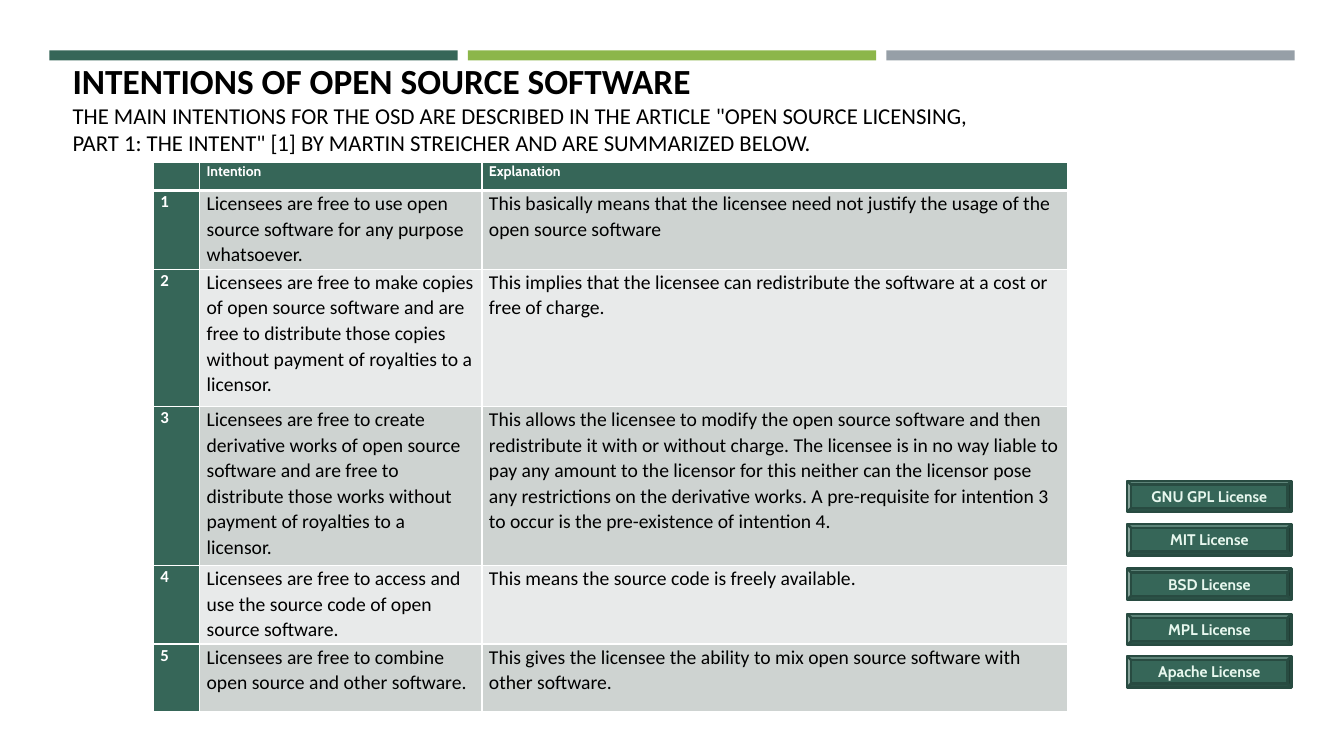
import pptx
import pptx.util
import pptx.dml.color
import pptx.enum.shapes
import pptx.enum.text
import pptx.oxml
import pptx.oxml.ns

Inches = pptx.util.Inches
Pt = pptx.util.Pt
RGBColor = pptx.dml.color.RGBColor
Shapes = pptx.enum.shapes.MSO_SHAPE
Align = pptx.enum.text.PP_ALIGN
Anchor = pptx.enum.text.MSO_ANCHOR

PINE = RGBColor(0x36, 0x66, 0x58)
DARK_PINE = RGBColor(0x28, 0x4B, 0x41)
LIME = RGBColor(0x8C, 0xB6, 0x4A)
SLATE = RGBColor(0x96, 0x9F, 0xA7)
MINT = RGBColor(0xE7, 0xF7, 0xEE)
BAND_DARK = RGBColor(0xCE, 0xD3, 0xD1)
BAND_LIGHT = RGBColor(0xE8, 0xEA, 0xEA)
WHITE = RGBColor(0xFF, 0xFF, 0xFF)
BLACK = RGBColor(0, 0, 0)

HEADING = "INTENTIONS OF OPEN SOURCE SOFTWARE"
SUMMARY = (
    'THE MAIN INTENTIONS FOR THE OSD ARE DESCRIBED IN THE ARTICLE "OPEN SOURCE LICENSING, '
    'PART 1: THE INTENT" [1] BY MARTIN STREICHER AND ARE SUMMARIZED BELOW.'
)
ROWS = [
    ("", "Intention", "Explanation"),
    ("1", "Licensees are free to use open source software for any purpose whatsoever.",
     "This basically means that the licensee need not justify the usage of the open source "
     "software"),
    ("2", "Licensees are free to make copies of open source software and are free to "
     "distribute those copies without payment of royalties to a licensor.",
     "This implies that the licensee can redistribute the software at a cost or free of charge."),
    ("3", "Licensees are free to create derivative works of open source software and are free "
     "to distribute those works without payment of royalties to a licensor.",
     "This allows the licensee to modify the open source software and then redistribute it "
     "with or without charge. The licensee is in no way liable to pay any amount to the "
     "licensor for this neither can the licensor pose any restrictions on the derivative "
     "works. A pre-requisite for intention 3 to occur is the pre-existence of intention 4."),
    ("4", "Licensees are free to access and use the source code of open source software.",
     "This means the source code is freely available."),
    ("5", "Licensees are free to combine open source and other software.",
     "This gives the licensee the ability to mix open source software with other software."),
]
COLUMN_WIDTHS = [0.46, 2.8, 5.81]
ROW_HEIGHTS = [0.22, 0.78, 1.36, 1.58, 0.78, 0.67]
LICENSES = [
    ("GNU GPL License", 4.77),
    ("MIT License", 5.2),
    ("BSD License", 5.64),
    ("MPL License", 6.09),
    ("Apache License", 6.51),
]
BAR_COLORS = [PINE, LIME, SLATE]
BAR_LEFT, BAR_TOP, BAR_WIDTH, BAR_HEIGHT, BAR_PITCH = 0.49, 0.5, 4.05, 0.1, 4.15


def add_text(para, text, size, color, font="Calibri", bold=False, align=Align.LEFT, spacing=1.0):
    para.alignment = align
    para.line_spacing = spacing
    span = para.add_run()
    span.text = text
    span.font.name = font
    span.font.size = Pt(size)
    span.font.bold = bold
    span.font.color.rgb = color


def add_box(page, preset, left, top, width, height, fill):
    box = page.shapes.add_shape(preset, Inches(left), Inches(top), Inches(width), Inches(height))
    box.shadow.inherit = False
    box.fill.solid()
    box.fill.fore_color.rgb = fill
    box.line.fill.background()
    return box


def set_borders(cell, widths):
    properties = cell._tc.get_or_add_tcPr()
    for position, (side, width) in enumerate(widths.items()):
        border = pptx.oxml.parse_xml(
            f'<a:{side} {pptx.oxml.ns.nsdecls("a")} w="{Pt(width)}">'
            f'<a:solidFill><a:srgbClr val="{WHITE}"/></a:solidFill></a:{side}>'
        )
        properties.insert(position, border)


def fill_cell(cell, text, row, column):
    cell.margin_left = cell.margin_right = Inches(0.07)
    cell.margin_top = cell.margin_bottom = 0
    cell.fill.solid()
    para = cell.text_frame.paragraphs[0]
    if row == 0:
        cell.fill.fore_color.rgb = PINE
        add_text(para, text, 10, WHITE, font="Cabin", bold=True, spacing=1.07)
    elif column == 0:
        cell.fill.fore_color.rgb = PINE
        add_text(para, text, 12, WHITE, bold=True, spacing=1.07)
    else:
        cell.fill.fore_color.rgb = BAND_DARK if row % 2 else BAND_LIGHT
        add_text(para, text, 14, BLACK, spacing=1.07)
    set_borders(cell, {"lnL": 1, "lnR": 1, "lnT": 3 if row == 1 else 1, "lnB": 1 if row else 3})


deck = pptx.Presentation()
deck.slide_width, deck.slide_height = Inches(13.33), Inches(7.5)
page = deck.slides.add_slide(deck.slide_layouts[5])

for index, color in enumerate(BAR_COLORS):
    left = BAR_LEFT + index * BAR_PITCH
    add_box(page, Shapes.RECTANGLE, left, BAR_TOP, BAR_WIDTH, BAR_HEIGHT, color)

title = page.shapes.title
title.left, title.top, title.width, title.height = map(Inches, (0.62, 0.61, 9.4, 1.26))
frame = title.text_frame
frame.auto_size = pptx.enum.text.MSO_AUTO_SIZE.NONE
frame.word_wrap = True
frame.vertical_anchor = Anchor.BOTTOM
frame.margin_bottom = Inches(0.32)
heading = frame.paragraphs[0]
add_text(heading, HEADING, 25.2, BLACK, bold=True)
heading.add_line_break()
add_text(heading, SUMMARY, 16.2, BLACK)

table = page.shapes.add_table(
    len(ROWS), len(COLUMN_WIDTHS), Inches(1.52), Inches(1.61),
    Inches(sum(COLUMN_WIDTHS)), Inches(sum(ROW_HEIGHTS)),
).table
for column, width in enumerate(COLUMN_WIDTHS):
    table.columns[column].width = Inches(width)
for row, (texts, height) in enumerate(zip(ROWS, ROW_HEIGHTS)):
    table.rows[row].height = Inches(height)
    for column, text in enumerate(texts):
        fill_cell(table.cell(row, column), text, row, column)

for name, top in LICENSES:
    button = add_box(page, Shapes.BEVEL, 11.18, top, 1.63, 0.31, PINE)
    button.line.color.rgb = DARK_PINE
    button.line.width = Pt(1.75)
    button.text_frame.word_wrap = True
    button.text_frame.vertical_anchor = Anchor.MIDDLE
    add_text(button.text_frame.paragraphs[0], name, 11, MINT, font="Cabin", bold=True,
             align=Align.CENTER)

deck.save("out.pptx")
